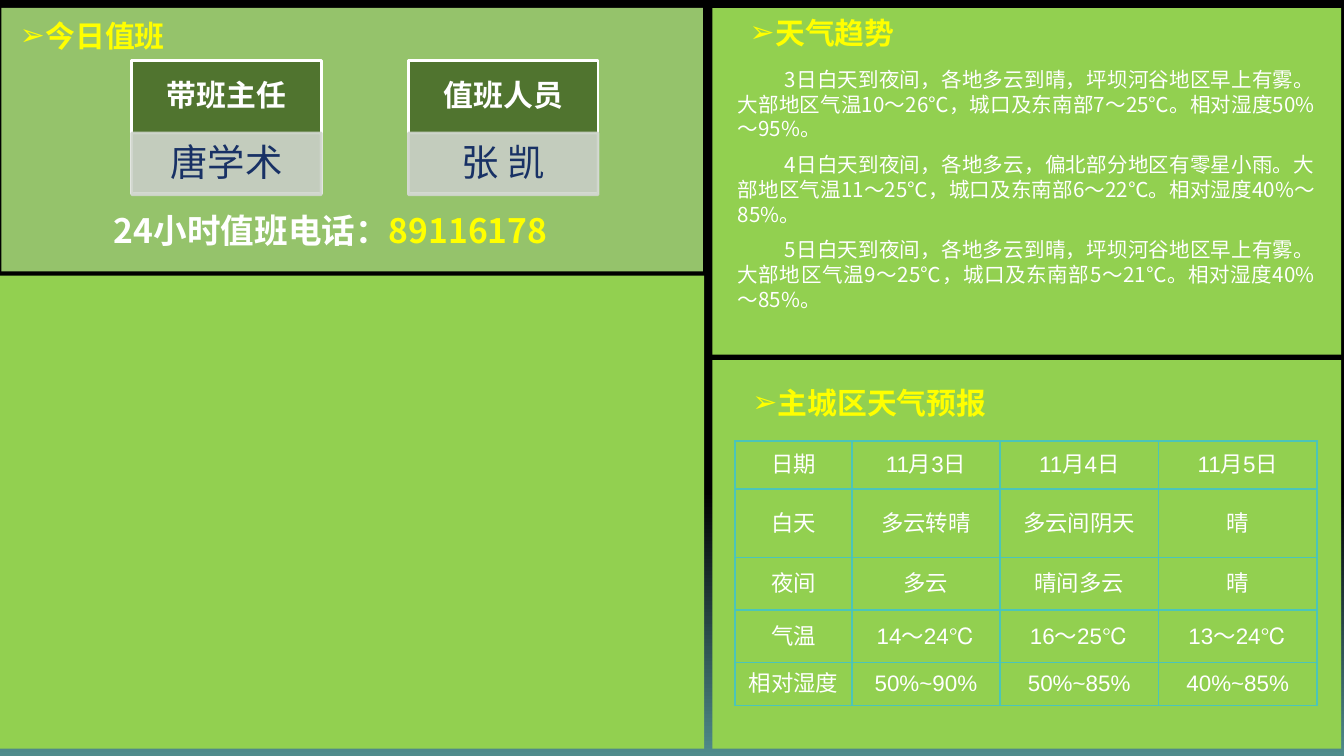
import pptx
import pptx.util
import pptx.dml.color
import pptx.enum.shapes
import pptx.enum.text
import pptx.oxml
import pptx.oxml.ns

PX = 9144
SANS = "Noto Sans CJK SC"
WHITE = "FFFFFF"
YELLOW = "FFFF00"
LIME = "92D050"
CYAN = "4BC5B9"
ALIGN = pptx.enum.text.PP_ALIGN
ANCHOR = pptx.enum.text.MSO_ANCHOR
AUTO = pptx.enum.text.MSO_AUTO_SIZE
HEADS = [
    ("今日值班", (5, 8, 129, 37), False, ANCHOR.TOP),
    ("主城区天气预报", (550, 281, 217, 37), True, ANCHOR.MIDDLE),
    ("天气趋势", (548, 6, 129, 37), False, ANCHOR.TOP),
]
TREND = [
    "3日白天到夜间，各地多云到晴，坪坝河谷地区早上有雾。大部地区气温10～26℃，城口及东南部7～25℃。相对湿度50%～95%。",
    "4日白天到夜间，各地多云，偏北部分地区有零星小雨。大部地区气温11～25℃，城口及东南部6～22℃。相对湿度40%～85%。",
    "5日白天到夜间，各地多云到晴，坪坝河谷地区早上有雾。大部地区气温9～25℃，城口及东南部5～21℃。相对湿度40%～85%。",
]
CAST = [
    ["日期", "11月3日", "11月4日", "11月5日"],
    ["白天", "多云转晴", "多云间阴天", "晴"],
    ["夜间", "多云", "晴间多云", "晴"],
    ["气温", "14～24℃", "16～25℃", "13～24℃"],
    ["相对湿度", "50%~90%", "50%~85%", "40%~85%"],
]
COLS = [87, 110, 118, 118]
ROWS = [36, 51, 39, 39, 32]


def px(size):
    return pptx.util.Emu(size * PX)


def rgb(tone):
    return pptx.dml.color.RGBColor.from_string(tone)


def node(home, tag, **attrs):
    item = home.makeelement(pptx.oxml.ns.qn(tag), attrs)
    home.append(item)
    return item


def write(frame, lines, size=16, font=SANS, tone=WHITE, bold=False,
          align=ALIGN.LEFT, anchor=ANCHOR.TOP, wrap=True, grow=False,
          inset=(10, 5), lead=None, after=0, indent=0, left=0,
          bullet=None, tail=None):
    frame.word_wrap = wrap
    frame.auto_size = AUTO.SHAPE_TO_FIT_TEXT if grow else AUTO.NONE
    frame.vertical_anchor = anchor
    frame.margin_left = frame.margin_right = px(inset[0])
    frame.margin_top = frame.margin_bottom = px(inset[1])
    for rank, line in enumerate(lines):
        para = frame.add_paragraph() if rank else frame.paragraphs[0]
        para.alignment = align
        para.line_spacing = lead
        para.space_after = pptx.util.Pt(after)
        props = para._p.get_or_add_pPr()
        props.set("marL", str(px(left)))
        props.set("indent", str(px(indent)))
        if bullet:
            node(props, "a:buFont", typeface="Arial")
            node(props, "a:buChar", char=bullet)
        for words, hue in [(line, tone)] + ([tail] if tail else []):
            run = para.add_run()
            run.text = words
            run.font.size = pptx.util.Pt(size)
            run.font.bold = bold
            run.font.color.rgb = rgb(hue)
            run.font.name = font
            node(run._r.get_or_add_rPr(), "a:ea", typeface=font)


def label(shapes, box, lines, **style):
    shape = shapes.add_textbox(*map(px, box))
    write(shape.text_frame, lines, **style)


def panel(shapes, box, fill, line=None, alpha=None):
    kind = pptx.enum.shapes.MSO_SHAPE.RECTANGLE
    shape = shapes.add_shape(kind, *map(px, box))
    shape.shadow.inherit = False
    shape.fill.solid()
    shape.fill.fore_color.rgb = rgb(fill)
    if line:
        shape.line.color.rgb = rgb(line)
        shape.line.width = pptx.util.Pt(1.5)
    else:
        shape.line.fill.background()
    if alpha:
        for hue in shape._element.spPr.iter(pptx.oxml.ns.qn("a:srgbClr")):
            node(hue, "a:alpha", val=str(alpha * 1000))


def card(shapes, left, role, name):
    group = shapes.add_group_shape().shapes
    style = dict(align=ALIGN.CENTER, anchor=ANCHOR.MIDDLE, lead=0.9)
    foot = (left, 99, 141, 46)
    panel(group, (left, 45, 141, 99), "50742F", WHITE)
    label(group, (left, 45, 141, 54), [role], font="Lato", bold=True,
          inset=(12, 12), **style)
    panel(group, foot, "D0D6CD", "D0D6CD", 90)
    label(group, foot, [name], size=20, tone="183165", inset=(16, 3), **style)


def edge(cell, side):
    line = node(cell._tc.get_or_add_tcPr(), side, w=str(pptx.util.Pt(1)))
    fill = node(line, "a:solidFill")
    node(fill, "a:srgbClr", val=CYAN)


def grid(shapes):
    box = (547, 328, sum(COLS), sum(ROWS))
    table = shapes.add_table(len(ROWS), len(COLS), *map(px, box)).table
    table.first_row = table.horz_banding = False
    for col, width in zip(table.columns, COLS):
        col.width = px(width)
    for row, tall in zip(table.rows, ROWS):
        row.height = px(tall)
    for row, words in zip(table.rows, CAST):
        for cell, word in zip(row.cells, words):
            write(cell.text_frame, [word], size=12, font="Arial",
                  align=ALIGN.CENTER)
            cell.vertical_anchor = ANCHOR.MIDDLE
            cell.margin_left = cell.margin_right = px(7)
            cell.margin_top = cell.margin_bottom = 0
            for side in ("a:lnL", "a:lnR", "a:lnT", "a:lnB"):
                edge(cell, side)
            cell.fill.background()


def paint(slide):
    fill = slide.background.fill
    fill.gradient()
    fill.gradient_angle = 270
    stops = zip(fill.gradient_stops, (0.65, 1), ("000000", "4F8B8B"))
    for stop, spot, tone in stops:
        stop.position = spot
        stop.color.rgb = rgb(tone)


def main():
    deck = pptx.Presentation()
    deck.slide_width = px(1000)
    deck.slide_height = deck.slide_width * 9 // 16
    slide = deck.slides.add_slide(deck.slide_layouts[6])
    shapes = slide.shapes
    paint(slide)
    panel(shapes, (1, 6, 522, 196), "95C36B")
    panel(shapes, (530, 268, 468, 289), LIME)
    panel(shapes, (530, 6, 468, 258), LIME)
    panel(shapes, (0, 205, 524, 352), LIME)
    for words, box, wrap, anchor in HEADS:
        label(shapes, box, [words], tone=YELLOW, bold=True, grow=True,
              wrap=wrap, anchor=anchor, left=19, indent=-19, bullet="➢")
    label(shapes, (75, 161, 394, 30), ["24小时值班电话："], size=18, bold=True,
          anchor=ANCHOR.BOTTOM, tail=("89116178", YELLOW))
    card(shapes, 304, "值班人员", "张 凯")
    card(shapes, 98, "带班主任", "唐学术")
    label(shapes, (539, 45, 449, 194), TREND, size=11, grow=True,
          align=ALIGN.JUSTIFY, indent=35, after=6)
    grid(shapes)
    deck.save("out.pptx")


if __name__ == "__main__":
    main()
